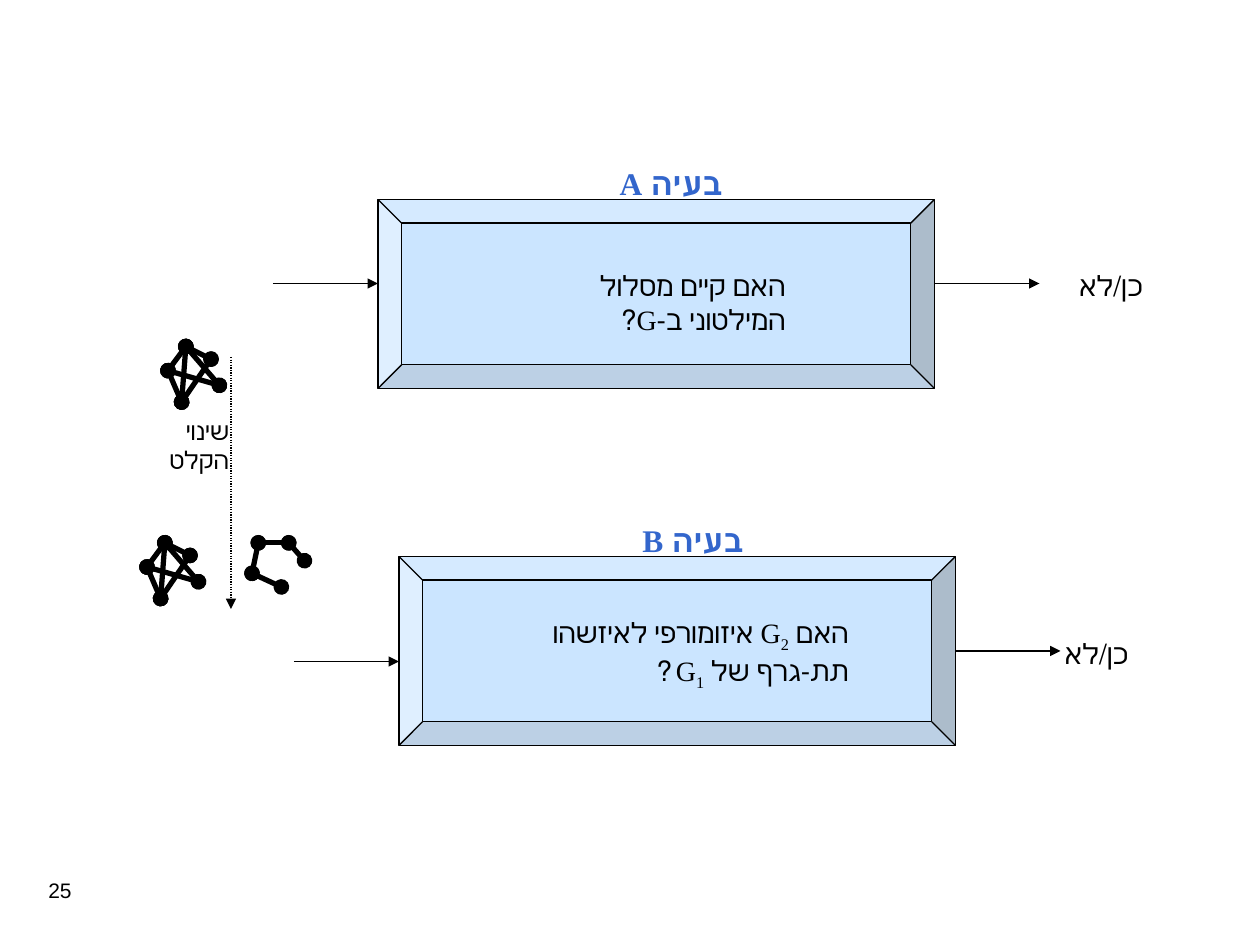
from lxml import etree
from pptx import Presentation
from pptx.dml.color import RGBColor
from pptx.enum.dml import MSO_LINE
from pptx.enum.shapes import MSO_CONNECTOR, MSO_SHAPE
from pptx.enum.text import PP_ALIGN
from pptx.oxml.ns import qn
from pptx.util import Inches, Pt

STRAIGHT = MSO_CONNECTOR.STRAIGHT
BEVEL = MSO_SHAPE.BEVEL
DOTTED = MSO_LINE.ROUND_DOT
LEFT, RIGHT = PP_ALIGN.LEFT, PP_ALIGN.RIGHT
COLORS = {"ink": "000000", "panel": "99CCFF", "title": "3366CC"}
CELLS_PER_INCH = 12
SERIF = "Times New Roman"

DENSE_NODES = {
    "left": (0, 2.3), "top": (1.7, 0), "right": (4.1, 1.2),
    "low": (4.9, 3.7), "bottom": (1.3, 5.3),
}
DENSE_EDGES = [
    ("left", "top"), ("right", "top"), ("left", "bottom"), ("top", "low"),
    ("left", "low"), ("bottom", "right"), ("top", "bottom"),
]
PATH_NODES = {
    "start": (5, 1.7), "second": (3.5, 0), "third": (0.6, 0),
    "fourth": (0, 2.9), "end": (2.8, 4.2),
}
PATH_EDGES = [
    ("start", "second"), ("third", "second"), ("fourth", "third"), ("fourth", "end"),
]


def grid(*cells):
    return [Inches(cell / CELLS_PER_INCH) for cell in cells]


def color(name):
    return RGBColor.from_string(COLORS[name])


def add_line(slide, start, end, width=0.75, head=None, tail="triangle", dash=None):
    connector = slide.shapes.add_connector(STRAIGHT, *grid(*start, *end))
    connector.line.width = Pt(width)
    connector.line.color.rgb = color("ink")
    if dash:
        connector.line.dash_style = dash
    outline = connector.line._get_or_add_ln()
    for tag, kind in (("a:headEnd", head), ("a:tailEnd", tail)):
        if kind:
            etree.SubElement(outline, qn(tag), type=kind)
    etree.SubElement(connector._element.spPr, qn("a:effectLst"))


def add_graph(slide, column, row, nodes, edges):
    def place(name):
        across, down = nodes[name]
        return column + across, row + down

    for first, second in edges:
        add_line(slide, place(first), place(second), 3, "oval", "oval")


def add_text(slide, box, runs, size, ink="ink", bold=False, font=SERIF,
             align=RIGHT, right_to_left=True):
    text_frame = slide.shapes.add_textbox(*grid(*box)).text_frame
    text_frame.word_wrap = True
    paragraph = text_frame.paragraphs[0]
    paragraph.alignment = align
    if right_to_left:
        paragraph._p.get_or_add_pPr().set("rtl", "1")
    for index, text in enumerate(runs):
        run = paragraph.add_run()
        run.text = text
        run.font.name = font
        run.font.size = Pt(size)
        run.font.bold = bold
        run.font.color.rgb = color(ink)
        if index % 2:
            run._r.get_or_add_rPr().set("baseline", "-25000")


def add_problem(slide, column, row, input_row, output_row, title, title_box):
    width, height, arrow = 53, 18, 10
    panel = slide.shapes.add_shape(BEVEL, *grid(column, row, width, height))
    panel.shadow.inherit = False
    panel.fill.solid()
    panel.fill.fore_color.rgb = color("panel")
    fill_color = panel._element.spPr.find(qn("a:solidFill"))[0]
    etree.SubElement(fill_color, qn("a:alpha"), val="50000")
    panel.line.color.rgb = color("ink")
    panel.line.width = Pt(0.75)
    right = column + width
    add_line(slide, (column - arrow, input_row), (column, input_row))
    add_line(slide, (right, output_row), (right + arrow, output_row))
    add_text(slide, title_box, [title], 18, "title", bold=True)


def main():
    presentation = Presentation()
    presentation.slide_width, presentation.slide_height = Inches(10), Inches(7.5)
    slide = presentation.slides.add_slide(presentation.slide_layouts[6])

    add_text(slide, (0, 83, 8, 6), ["25"], 12, font="Arial", right_to_left=False)
    add_problem(slide, 36, 19, 27, 27, "בעיה A", (55, 15, 15, 4.8))
    add_problem(slide, 38, 53, 63, 62, "בעיה B", (58, 49, 14, 4.8))

    add_text(slide, (50, 25, 26, 7.7), ["האם קיים מסלול המילטוני ב-G?"], 16)
    add_text(slide, (99.2, 25, 10.8, 4.4), ["כן/לא"], 16)
    add_text(slide, (100.2, 60, 10, 4.4), ["כן/לא"], 16, align=LEFT, right_to_left=False)
    question = ["האם G", "2", " איזומורפי לאיזשהו תת-גרף של G", "1 ", "?"]
    add_text(slide, (46, 58, 36, 7.7), question, 16)

    add_graph(slide, 14, 51.7, DENSE_NODES, DENSE_EDGES)
    add_line(slide, (22, 34), (22, 58), dash=DOTTED)
    add_text(slide, (11, 39, 12, 6.8), ["שינוי הקלט"], 14)
    add_graph(slide, 16, 33, DENSE_NODES, DENSE_EDGES)
    add_graph(slide, 24, 51.7, PATH_NODES, PATH_EDGES)
    presentation.save("out.pptx")


if __name__ == "__main__":
    main()
